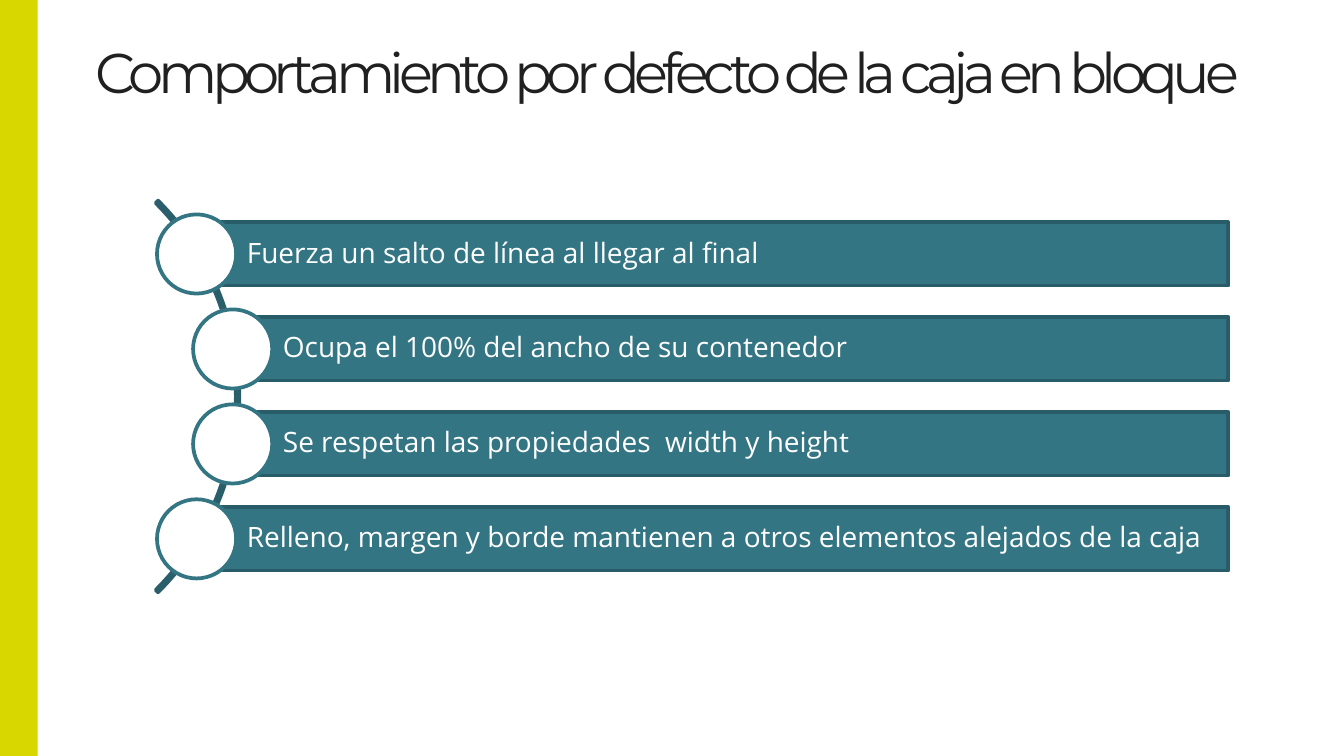
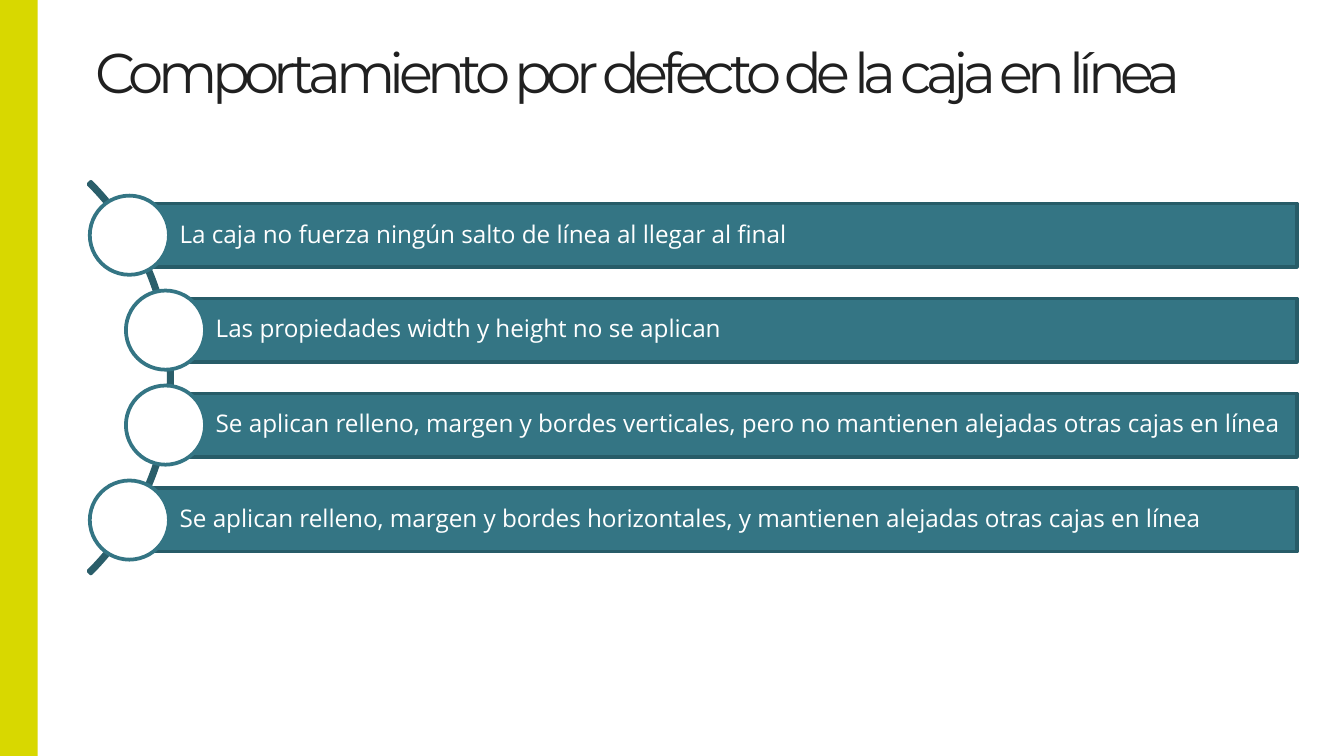
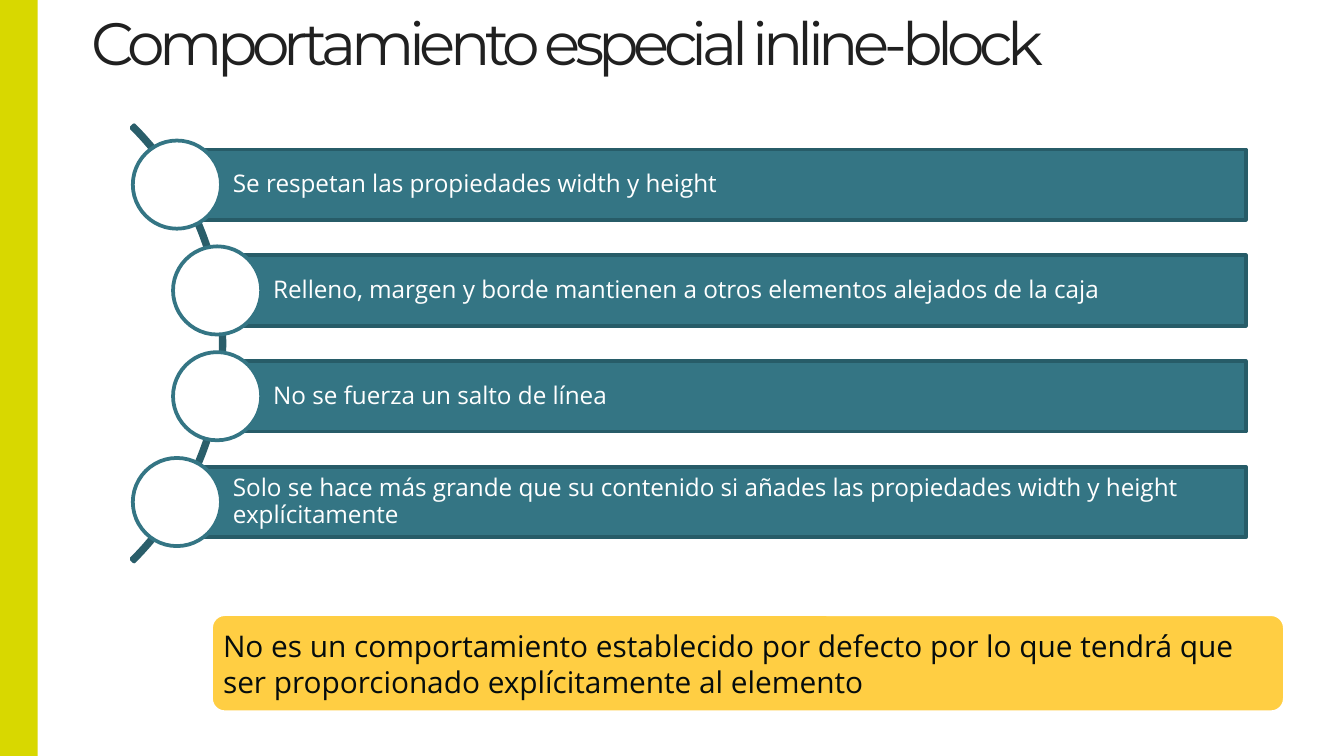
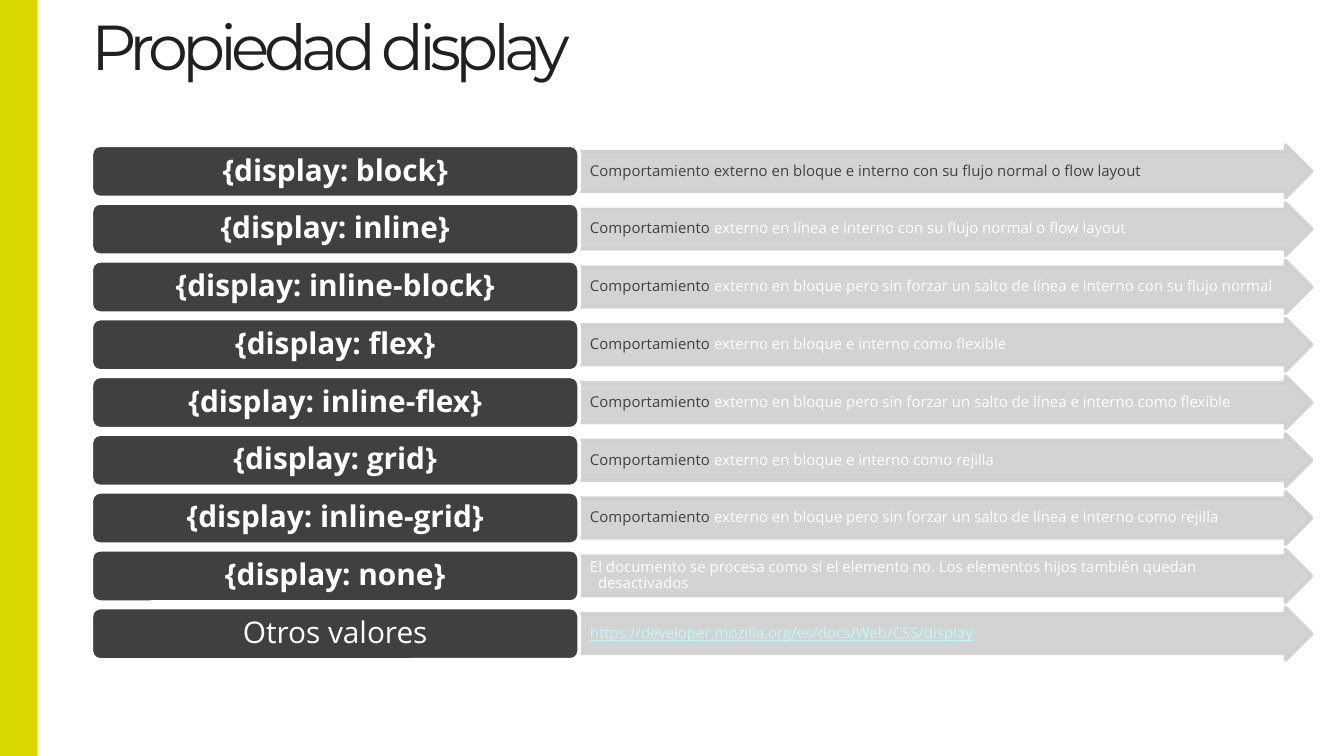
"""Build four slides about the CSS display property."""
from lxml import etree
from pptx import Presentation
from pptx import util as u
from pptx.dml.color import RGBColor
from pptx.enum import shapes, text
from pptx.oxml.ns import qn

PX = 9144
COLOURS = {
    "white": "FFFFFF", "title": "202020", "band": "D8D800",
    "arc": "2A5E6A", "bar": "347584", "bar_edge": "275C68",
    "note": "FFCE43", "note_text": "050C0D",
    "label": "404040", "arrow": "CFCFCF", "address": "C0F8FA",
}
SHAPES = shapes.MSO_SHAPE


def px(length):
    return u.Emu(round(length * PX))


def colour(name):
    return RGBColor.from_string(COLOURS[name])


def set_opacity(fill_parent, percent):
    for element in fill_parent.iterchildren(qn("a:solidFill")):
        alpha = etree.SubElement(element[0], qn("a:alpha"))
        alpha.set("val", str(percent * 1000))


def write(shape, runs, size, font="Open Sans", bold=None, underline=None,
          align="LEFT", anchor="MIDDLE", insets=(4, 4, 4, 4), line_spacing=0.9,
          hanging=0, tracking=0):
    frame = shape.text_frame
    frame.word_wrap = True
    frame.vertical_anchor = getattr(text.MSO_ANCHOR, anchor)
    (frame.margin_left, frame.margin_top,
     frame.margin_right, frame.margin_bottom) = map(px, insets)
    paragraph = frame.paragraphs[0]
    paragraph.alignment = getattr(text.PP_ALIGN, align)
    paragraph.line_spacing = line_spacing
    if hanging:
        properties = paragraph._p.get_or_add_pPr()
        properties.set("marL", str(px(hanging)))
        properties.set("indent", str(px(-hanging)))
    for string, colour_name in runs:
        run = paragraph.add_run()
        run.text = string
        run.font.name = font
        run.font.size = u.Pt(size)
        run.font.bold = bold
        run.font.underline = underline
        run.font.color.rgb = colour(colour_name)
        if tracking:
            run._r.get_or_add_rPr().set("spc", str(tracking * 100))


class Deck:
    """Hold the shared style and the current slide."""

    def __init__(self):
        self.presentation = Presentation()
        self.presentation.slide_width = px(1000)
        self.presentation.slide_height = px(1000 * 9 / 16)
        self.slide = None

    def add_slide(self, title, left, top, height, size):
        layout = self.presentation.slide_layouts[5]
        self.slide = self.presentation.slides.add_slide(layout)
        holder = self.slide.shapes.title
        holder.left, holder.top = px(left), px(top)
        holder.width, holder.height = px(888), px(height)
        write(holder, [(title, "title")], size, font="Montserrat", anchor="BOTTOM",
              insets=(0, 5, 10, 5), line_spacing=1.0, tracking=-3)
        holder.text_frame.auto_size = text.MSO_AUTO_SIZE.SHAPE_TO_FIT_TEXT
        band = self.shape(SHAPES.RECTANGLE, 0, 0, 28, 562, fill="band")
        band.height = self.presentation.slide_height

    def shape(self, kind, left, top, width, height, fill=None, line=None,
              adjustments=(), opacity=None):
        shape = self.slide.shapes.add_shape(
            kind, px(left), px(top), px(width), px(height))
        shape.shadow.inherit = False
        for index, value in enumerate(adjustments):
            shape.adjustments[index] = value
        if fill:
            shape.fill.solid()
            shape.fill.fore_color.rgb = colour(fill)
        else:
            shape.fill.background()
        if line:
            shape.line.color.rgb = colour(line)
            shape.line.width = u.Pt(2)
        else:
            shape.line.fill.background()
        if opacity:
            properties = shape._element.spPr
            set_opacity(properties, opacity)
            set_opacity(properties.find(qn("a:ln")), opacity)
        return shape

    def arc_list(self, items, left, top, diameter, right, size):
        self.shape(SHAPES.BLOCK_ARC, left, top, diameter, diameter, line="arc",
                   adjustments=(189, 27, 0.006))
        pitch = diameter * 0.1715
        marker = pitch / 1.2
        bar_height = marker * 0.8
        outer = left + diameter * 0.923
        for index, item in enumerate(items):
            centre = top + diameter / 2 + (index - (len(items) - 1) / 2) * pitch
            is_end = index in (0, len(items) - 1)
            bar_left = outer if is_end else outer + pitch * 0.38
            bar = self.shape(SHAPES.RECTANGLE, bar_left, centre - bar_height / 2,
                             right - bar_left, bar_height, fill="bar", line="bar_edge")
            write(bar, [(item, "white")], size, insets=(pitch * 0.53, 4, 4, 4))
            self.shape(SHAPES.OVAL, bar_left - marker / 2, centre - marker / 2,
                       marker, marker, fill="white", line="bar")

    def note(self, string, left, top, width, height):
        box = self.shape(SHAPES.ROUNDED_RECTANGLE, left, top, width, height,
                         fill="note", line="white", adjustments=(0.14,))
        write(box, [(string, "note_text")], 16, insets=(6, 6, 6, 6), line_spacing=1.0)

    def value_row(self, top, label, runs, bold=True, underline=None):
        arrow = self.shape(SHAPES.RIGHT_ARROW, 431, top, 545, 39, fill="arrow",
                           line="arrow", adjustments=(0.75, 0.5), opacity=90)
        write(arrow, runs, 8, insets=(8, 1, 1, 1), hanging=6, underline=underline)
        box = self.shape(SHAPES.ROUNDED_RECTANGLE, 68, top, 363, 39,
                         fill="label", line="white")
        write(box, [(label, "white")], 16, bold=bold, align="CENTER",
              insets=(7, 3, 7, 3))


def main():
    deck = Deck()

    deck.add_slide("Comportamiento por defecto de la caja en bloque", 71, 22, 61, 30)
    deck.arc_list([
        "Fuerza un salto de línea al llegar al final",
        "Ocupa el 100% del ancho de su contenedor",
        "Se respetan las propiedades  width y height",
        "Relleno, margen y borde mantienen a otros elementos alejados de la caja",
    ], left=-234, top=89, diameter=412, right=914, size=15)

    deck.add_slide("Comportamiento por defecto de la caja en línea", 71, 22, 61, 30)
    deck.arc_list([
        "La caja no fuerza ningún salto de línea al llegar al final",
        "Las propiedades width y height no se aplican",
        "Se aplican relleno, margen y bordes verticales, pero no mantienen alejadas "
        "otras cajas en línea",
        "Se aplican relleno, margen y bordes horizontales, y mantienen alejadas "
        "otras cajas en línea",
    ], left=-284, top=75, diameter=412, right=965, size=13)

    deck.add_slide("Comportamiento especial inline-block", 68, -1, 64, 32)
    deck.arc_list([
        "Se respetan las propiedades width y height",
        "Relleno, margen y borde mantienen a otros elementos alejados de la caja",
        "No se fuerza un salto de línea",
        "Solo se hace más grande que su contenido si añades las propiedades width y "
        "height explícitamente",
    ], left=-292, top=26, diameter=459, right=927, size=13)
    deck.note("No es un comportamiento establecido por defecto por lo que tendrá que "
              "ser proporcionado explícitamente al elemento", 157, 457, 799, 73)

    deck.add_slide("Propiedad display", 68, 0, 67, 34)
    first_top, pitch = 108, 43
    behaviours = [
        ("block", "Comportamiento externo en bloque e interno con su flujo normal "
                  "o flow layout", ""),
        ("inline", "Comportamiento",
         " externo en línea e interno con su flujo normal o flow layout"),
        ("inline-block", "Comportamiento",
         " externo en bloque pero sin forzar un salto de línea e interno con su "
         "flujo normal"),
        ("flex", "Comportamiento", " externo en bloque e interno como flexible"),
        ("inline-flex", "Comportamiento",
         " externo en bloque pero sin forzar un salto de línea e interno como flexible"),
        ("grid", "Comportamiento", " externo en bloque e interno como rejilla"),
        ("inline-grid", "Comportamiento",
         " externo en bloque pero sin forzar un salto de línea e interno como rejilla"),
        ("none", "", "El documento se procesa como si el elemento no. Los elementos "
                     "hijos también quedan desactivados"),
    ]
    for index, (value, dark, light) in enumerate(behaviours):
        runs = [run for run in ((dark, "label"), (light, "white")) if run[0]]
        deck.value_row(first_top + index * pitch, f"{{display: {value}}}", runs)
    deck.value_row(first_top + len(behaviours) * pitch, "Otros valores",
                   [("https://developer.mozilla.org/es/docs/Web/CSS/display", "address")],
                   bold=False, underline=True)

    deck.presentation.save("out.pptx")


if __name__ == "__main__":
    main()
